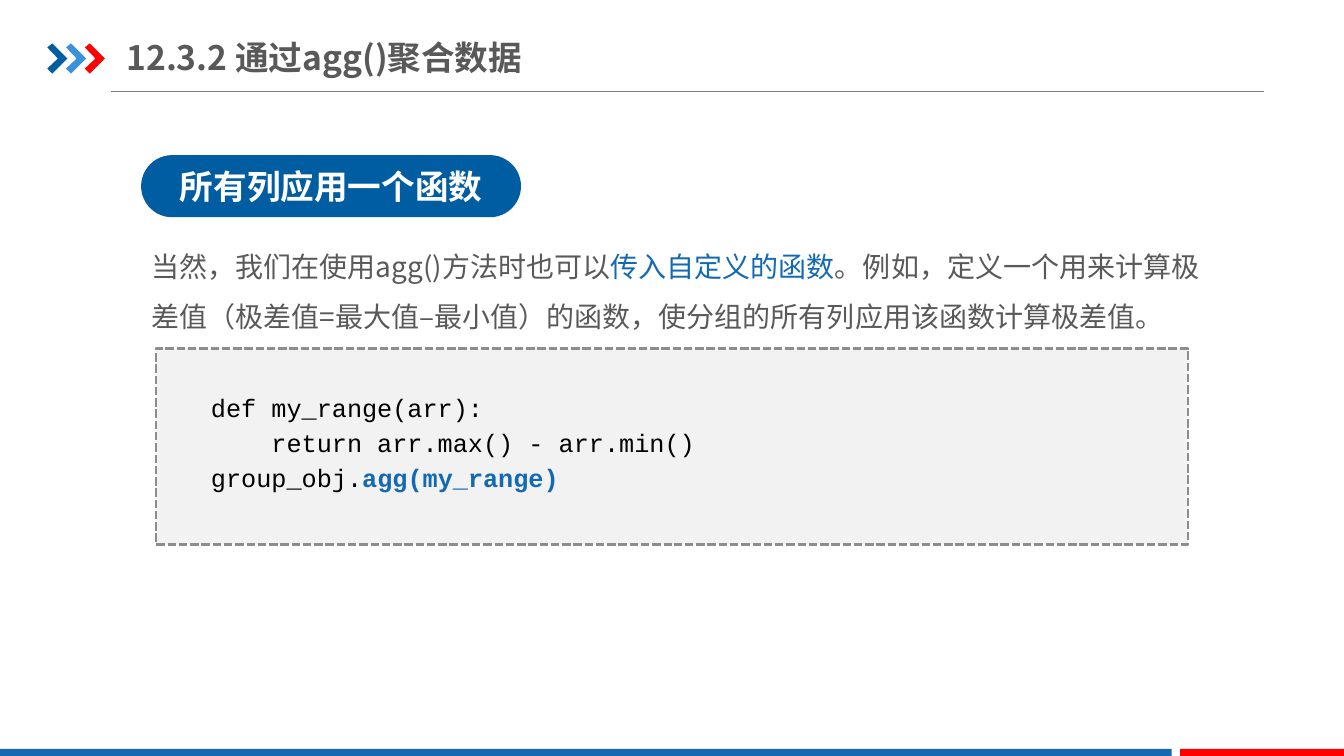
from dataclasses import dataclass

import lxml.etree
import pptx
import pptx.dml.color
import pptx.enum.dml
import pptx.enum.shapes
import pptx.enum.text
import pptx.oxml.ns
import pptx.shapes.autoshape
import pptx.slide
import pptx.text.text
import pptx.util

Pt = pptx.util.Pt
RGBColor = pptx.dml.color.RGBColor
Shapes = pptx.enum.shapes.MSO_SHAPE
Align = pptx.enum.text.PP_ALIGN
qn = pptx.oxml.ns.qn

NAVY = RGBColor(0x00, 0x5D, 0xA2)
SKY = RGBColor(0x39, 0x92, 0xDB)
BLUE = RGBColor(0x13, 0x69, 0xB2)
RED = RGBColor(0xFF, 0x00, 0x00)
TEXT_GREY = RGBColor(0x59, 0x59, 0x59)
RULE_GREY = RGBColor(0x80, 0x80, 0x80)
DASH_GREY = RGBColor(0x8D, 0x8D, 0x8D)
PANEL_GREY = RGBColor(0xF2, 0xF2, 0xF2)
BLACK = RGBColor(0x00, 0x00, 0x00)
WHITE = RGBColor(0xFF, 0xFF, 0xFF)

SANS = "Noto Sans CJK SC"
MONO = "Courier New"
CHEVRON_OUTLINE = [(0, 2.9), (3.6, 0), (14.4, 10.8), (3.6, 21.6), (0, 18), (7.6, 10.8)]
CHEVRON_LEFT, CHEVRON_TOP, CHEVRON_STEP = 33.8, 31, 13.4


@dataclass(frozen=True)
class Box:
    left: float
    top: float
    width: float
    height: float

    def lengths(self) -> tuple[int, int, int, int]:
        return Pt(self.left), Pt(self.top), Pt(self.width), Pt(self.height)


@dataclass(frozen=True)
class Panel:
    box: Box
    fill: RGBColor
    outline: Shapes = Shapes.RECTANGLE


@dataclass(frozen=True)
class Phrase:
    text: str
    color: RGBColor
    bold: bool = False


def style_run(run: pptx.text.text._Run, typeface: str, size: float,
              color: RGBColor, bold: bool) -> None:
    run.font.name = typeface
    run.font.size = Pt(size)
    run.font.bold = bold
    run.font.color.rgb = color
    lxml.etree.SubElement(run.font._element, qn("a:ea"), typeface=typeface)


def write_phrases(paragraph: pptx.text.text._Paragraph, phrases: list[Phrase],
                  typeface: str, size: float) -> None:
    for phrase in phrases:
        run = paragraph.add_run()
        run.text = phrase.text
        style_run(run, typeface, size, phrase.color, phrase.bold)


def paint(shape: pptx.shapes.autoshape.Shape, fill: RGBColor) -> None:
    shape.shadow.inherit = False
    shape.fill.solid()
    shape.fill.fore_color.rgb = fill
    shape.line.fill.background()


def add_panel(slide: pptx.slide.Slide, panel: Panel) -> pptx.shapes.autoshape.Shape:
    shape = slide.shapes.add_shape(panel.outline, *panel.box.lengths())
    paint(shape, panel.fill)
    return shape


def add_chevron(slide: pptx.slide.Slide, left: float, fill: RGBColor) -> None:
    corners = [(Pt(left + x), Pt(CHEVRON_TOP + y)) for x, y in CHEVRON_OUTLINE]
    builder = slide.shapes.build_freeform(*corners[0])
    builder.add_line_segments(corners[1:], close=True)
    paint(builder.convert_to_shape(), fill)


def add_text(slide: pptx.slide.Slide, box: Box, lines: list[list[Phrase]], typeface: str,
             size: float, spacing: float, indent: float = 0) -> None:
    frame = slide.shapes.add_textbox(*box.lengths()).text_frame
    frame.word_wrap = True
    for number, phrases in enumerate(lines):
        paragraph = frame.add_paragraph() if number else frame.paragraphs[0]
        paragraph.line_spacing = spacing
        properties = paragraph._p.get_or_add_pPr()
        properties.set("marL", "0")
        properties.set("indent", str(Pt(indent)))
        properties.set("hangingPunct", "1")
        write_phrases(paragraph, phrases, typeface, size)


def add_title(slide: pptx.slide.Slide) -> None:
    title = slide.shapes.title
    title.left, title.top, title.width, title.height = Box(90.3, 21, 327.6, 39.6).lengths()
    frame = title.text_frame
    frame.text = "12.3.2 通过agg()聚合数据"
    frame.word_wrap = True
    frame.auto_size = pptx.enum.text.MSO_AUTO_SIZE.NONE
    frame.vertical_anchor = pptx.enum.text.MSO_ANCHOR.MIDDLE
    frame.margin_left = frame.margin_right = Pt(0)
    frame.margin_top = frame.margin_bottom = Pt(5)
    heading = frame.paragraphs[0]
    heading.alignment = Align.LEFT
    style_run(heading.runs[0], SANS, 24, TEXT_GREY, True)


def add_title_rule(slide: pptx.slide.Slide) -> None:
    rule = slide.shapes.add_connector(
        pptx.enum.shapes.MSO_CONNECTOR.STRAIGHT, Pt(79.2), Pt(65.5), Pt(903.2), Pt(65.5))
    rule.line.color.rgb = RULE_GREY
    rule.line.width = Pt(0.75)
    lxml.etree.SubElement(rule._element.spPr, qn("a:effectLst"))


def main() -> None:
    deck = pptx.Presentation()
    deck.slide_width, deck.slide_height = Pt(960), Pt(540)
    slide = deck.slides.add_slide(deck.slide_layouts[5])

    add_title_rule(slide)
    for number, color in enumerate((NAVY, SKY, RED)):
        add_chevron(slide, CHEVRON_LEFT + number * CHEVRON_STEP, color)
    for bar in (Panel(Box(0, 535, 837, 5), BLUE), Panel(Box(843, 535, 117, 5), RED)):
        add_panel(slide, bar)
    add_title(slide)

    topic = add_panel(
        slide, Panel(Box(100.8, 110.8, 271.4, 44.4), NAVY, Shapes.ROUNDED_RECTANGLE))
    topic.adjustments[0] = 0.5
    topic.text_frame.vertical_anchor = pptx.enum.text.MSO_ANCHOR.MIDDLE
    topic_line = topic.text_frame.paragraphs[0]
    topic_line.alignment = Align.CENTER
    write_phrases(topic_line, [Phrase("所有列应用一个函数", WHITE, True)], SANS, 24)

    explanation = [
        Phrase("当然，我们在使用agg()方法时也可以", TEXT_GREY),
        Phrase("传入自定义的函数", BLUE),
        Phrase("。例如，定义一个用来计算极差值（极差值=最大值–最小值）的函数，"
               "使分组的所有列应用该函数计算极差值。", TEXT_GREY),
    ]
    add_text(slide, Box(101, 162.7, 768, 75.6), [explanation], SANS, 20, 1.5)

    code_panel = add_panel(slide, Panel(Box(111.4, 249, 737.3, 139.8), PANEL_GREY))
    code_panel.line.color.rgb = DASH_GREY
    code_panel.line.width = Pt(2)
    code_panel.line.dash_style = pptx.enum.dml.MSO_LINE.SQUARE_DOT
    code = [
        [Phrase("def my_range(arr):", BLACK)],
        [Phrase("    return arr.max() - arr.min()", BLACK)],
        [Phrase("group_obj.", BLACK), Phrase("agg(my_range)", BLUE, True)],
    ]
    add_text(slide, Box(122.6, 273.6, 731.5, 82.8), code, MONO, 18, 1.15, indent=21)

    deck.save("out.pptx")


if __name__ == "__main__":
    main()
